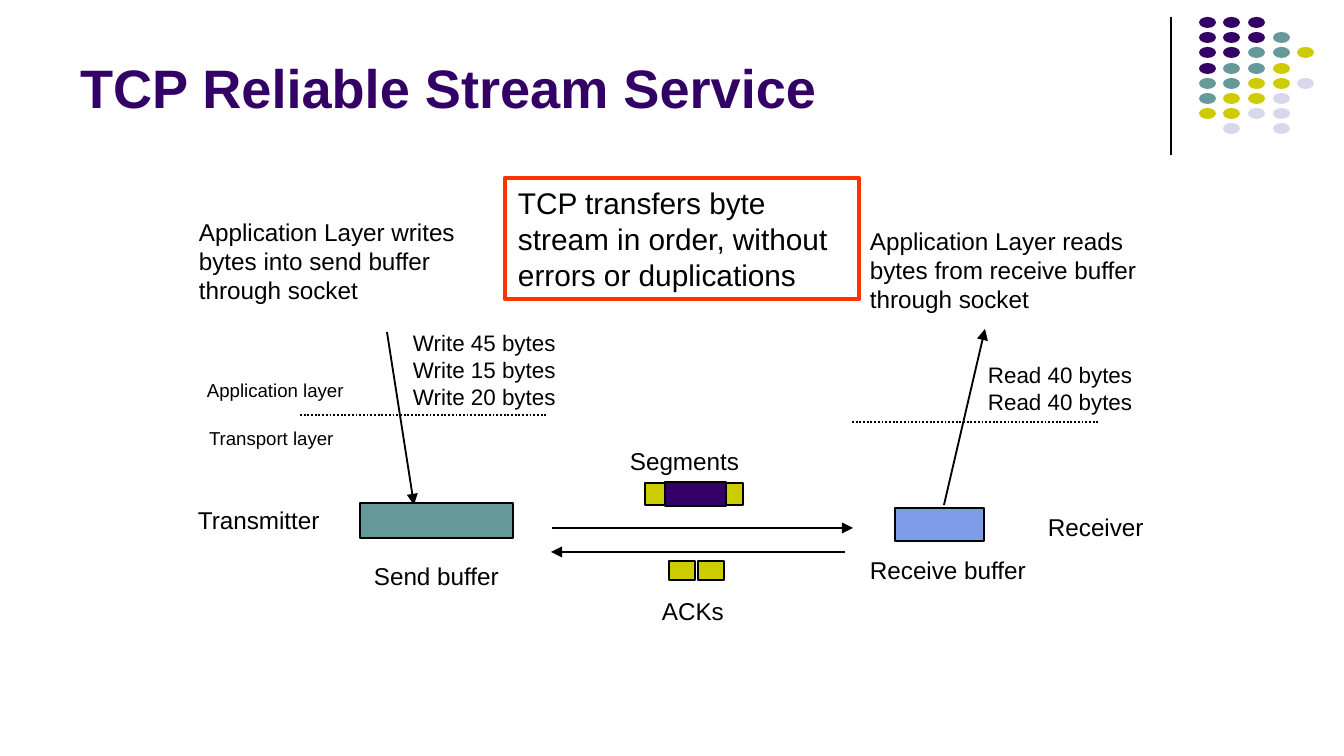
from dataclasses import dataclass
from typing import Optional

from lxml.etree import SubElement as Sub
from pptx import Presentation
from pptx.dml.color import RGBColor
from pptx.enum.dml import MSO_LINE_DASH_STYLE as Dash
from pptx.enum.shapes import MSO_CONNECTOR as Conn, MSO_SHAPE as Kind
from pptx.enum.text import MSO_ANCHOR as Anchor, MSO_AUTO_SIZE as Auto, PP_ALIGN as Align
from pptx.oxml.ns import qn
from pptx.util import Emu, Pt

BLACK = RGBColor(0x00, 0x00, 0x00)
PURPLE = RGBColor(0x33, 0x00, 0x66)
TEAL = RGBColor(0x66, 0x99, 0x99)
LIME = RGBColor(0xCC, 0xCC, 0x00)
PALE = RGBColor(0xD8, 0xD8, 0xEC)
BLUE = RGBColor(0x7E, 0x9C, 0xE8)
RED = RGBColor(0xFF, 0x33, 0x00)

SCALE = 914400 / 134.4
TIGHT, LOOSE = (10, 5), (13, 7)


def px(n: float) -> Emu:
    return Emu(round(n * SCALE))


@dataclass
class Box:
    x: int
    y: int
    w: int
    h: int
    fill: Optional[RGBColor] = None
    line: Optional[RGBColor] = BLACK
    width: float = 1
    kind: Kind = Kind.RECTANGLE


@dataclass
class Label:
    x: int
    y: int
    w: int
    h: int
    text: str
    size: int = 13
    wrap: bool = False
    pad: tuple = TIGHT


@dataclass
class Line:
    x1: int
    y1: int
    x2: int
    y2: int
    arrow: bool = False
    dash: Optional[Dash] = None
    width: float = 1


def draw_box(slide, box: Box):
    shape = slide.shapes.add_shape(box.kind, px(box.x), px(box.y), px(box.w), px(box.h))
    shape.shadow.inherit = False
    for part, color in ((shape.fill, box.fill), (shape.line.fill, box.line)):
        if color is None:
            part.background()
        else:
            part.solid()
            part.fore_color.rgb = color
    if box.line is not None:
        shape.line.width = Pt(box.width)
    return shape


def draw_line(slide, line: Line) -> None:
    conn = slide.shapes.add_connector(
        Conn.STRAIGHT, px(line.x1), px(line.y1), px(line.x2), px(line.y2))
    conn.line.color.rgb = BLACK
    conn.line.width = Pt(line.width)
    if line.dash:
        conn.line.dash_style = line.dash
    if line.arrow:
        Sub(conn.line._get_or_add_ln(), qn("a:tailEnd"), type="triangle")
    Sub(conn._element.spPr, qn("a:effectLst"))


def write(shape, text: str, size: int, wrap: bool = True, pad: tuple = LOOSE,
          color: RGBColor = BLACK, bold: bool = False, anchor: Anchor = Anchor.TOP) -> None:
    frame = shape.text_frame
    side, edge = px(pad[0]), px(pad[1])
    form = {"word_wrap": wrap, "auto_size": Auto.NONE, "vertical_anchor": anchor,
            "margin_left": side, "margin_right": side,
            "margin_top": edge, "margin_bottom": edge}
    for key, val in form.items():
        setattr(frame, key, val)
    frame.text = text
    style = {"name": "Arial", "size": Pt(size), "bold": bold}
    for para in frame.paragraphs:
        para.alignment = Align.LEFT
        for run in para.runs:
            for key, val in style.items():
                setattr(run.font, key, val)
            run.font.color.rgb = color


def draw_label(slide, item: Label) -> None:
    shape = slide.shapes.add_textbox(px(item.x), px(item.y), px(item.w), px(item.h))
    write(shape, item.text, item.size, item.wrap, item.pad)


# Corner dots: one letter per colour, a dot where the cell is empty
HUES = {"P": PURPLE, "T": TEAL, "L": LIME, "W": PALE}
DOTS = ("PPP..", "PPPT.", "PPTTL", "PTTL.", "TTLLW", "TLLW.", "LLWW.", ".W.W.")

LINES = (
    Line(1171, 17, 1171, 155, width=0.75),
    Line(387, 332, 414, 505, arrow=True),
    Line(552, 528, 853, 528, arrow=True),
    Line(845, 552, 551, 552, arrow=True),
    Line(944, 505, 985, 329, arrow=True),
    Line(300, 415, 546, 415, dash=Dash.ROUND_DOT),
    Line(852, 422, 1098, 422, dash=Dash.ROUND_DOT),
)

BOXES = (
    Box(360, 503, 153, 35, TEAL),
    Box(895, 508, 89, 33, BLUE),
    Box(645, 483, 98, 22, LIME),
    Box(665, 482, 61, 24, PURPLE),
    Box(669, 561, 26, 19, LIME),
    Box(698, 561, 26, 19, LIME),
)

LABELS = (
    Label(189, 212, 280, 97,
          "Application Layer writes bytes into send buffer through socket", wrap=True),
    Label(860, 221, 300, 97,
          "Application Layer reads bytes from receive buffer through socket", wrap=True),
    Label(364, 556, 145, 39, "Send buffer"),
    Label(860, 550, 176, 39, "Receive buffer"),
    Label(620, 441, 129, 39, "Segments"),
    Label(652, 591, 82, 39, "ACKs"),
    Label(188, 500, 142, 39, "Transmitter"),
    Label(1038, 507, 116, 39, "Receiver"),
    Label(194, 372, 163, 36, "Application layer", 10, pad=LOOSE),
    Label(196, 420, 152, 36, "Transport layer", 10, pad=LOOSE),
    Label(403, 324, 163, 90, "Write 45 bytes\nWrite 15 bytes\nWrite 20 bytes", 12),
    Label(978, 356, 164, 63, "Read 40 bytes\nRead 40 bytes", 12),
)


def main() -> None:
    deck = Presentation()
    deck.slide_width, deck.slide_height = px(1344), px(756)
    slide = deck.slides.add_slide(deck.slide_layouts[6])

    # Corner dots
    for row, marks in enumerate(DOTS):
        for col, mark in enumerate(marks):
            if mark in HUES:
                draw_box(slide, Box(1199 + round(24.5 * col), 17 + round(15.2 * row),
                                    17, 11, HUES[mark], None, kind=Kind.OVAL))

    # Flow between the two buffers
    for line in LINES:
        draw_line(slide, line)
    for box in BOXES:
        draw_box(slide, box)
    for item in LABELS:
        draw_label(slide, item)

    # Title and framed statement
    title = slide.shapes.add_textbox(px(67), px(13), px(1109), px(113))
    write(title, "TCP Reliable Stream Service", 29, color=PURPLE, bold=True,
          anchor=Anchor.BOTTOM)
    frame = draw_box(slide, Box(505, 178, 354, 121, line=RED, width=2.25))
    write(frame, "TCP transfers byte stream in order, without errors or duplications", 16)

    deck.save("out.pptx")


if __name__ == "__main__":
    main()
